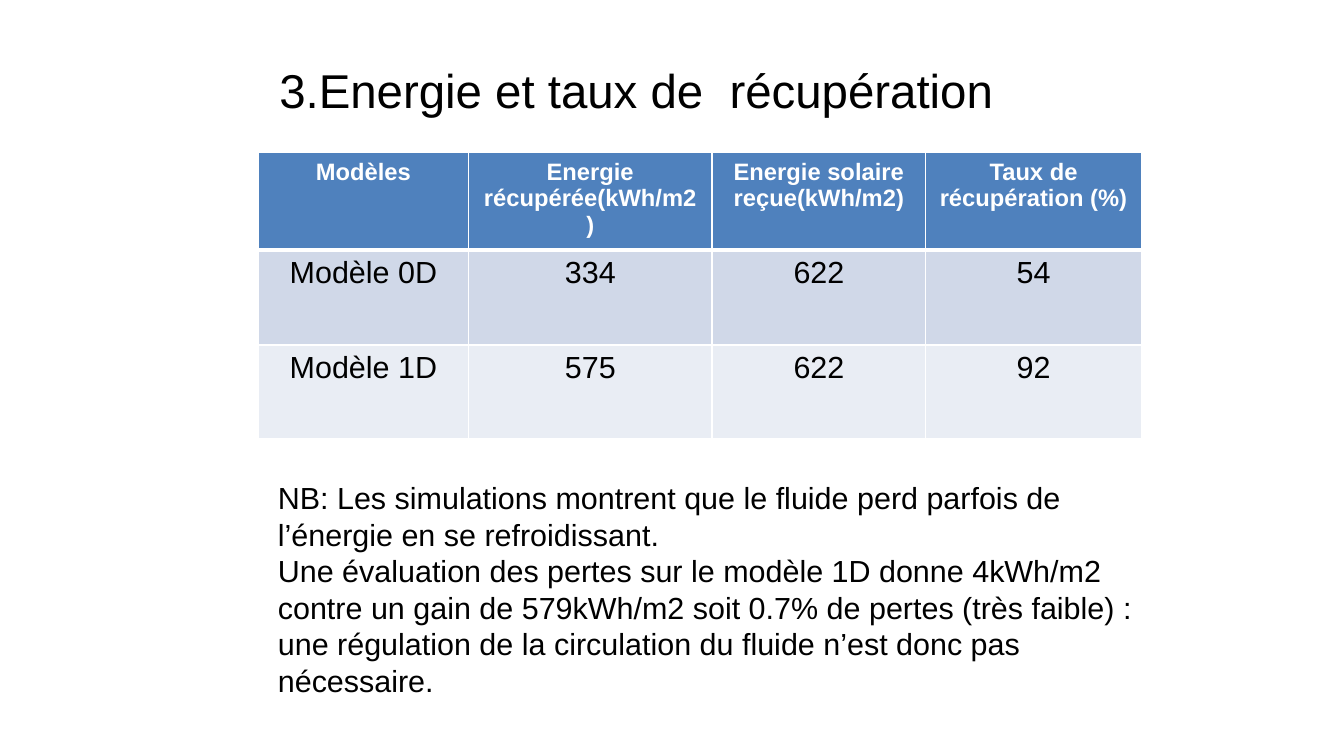
"""Build the slide on energy and recovery rate of the 0D and 1D models."""
from lxml.etree import SubElement
from pptx import Presentation
from pptx.dml.color import RGBColor
from pptx.enum.text import MSO_ANCHOR, MSO_AUTO_SIZE, PP_ALIGN
from pptx.oxml.ns import qn
from pptx.util import Inches, Pt


def color(hex_code):
    """Turn a hex string into a colour."""
    return RGBColor.from_string(hex_code)


def write(frame, text, size=18, ink="000000", bold=False, align=PP_ALIGN.LEFT, spacing=1.0):
    """Fill a text frame with one paragraph per line of text."""
    frame.word_wrap = True
    frame.text = text
    for paragraph in frame.paragraphs:
        paragraph.alignment = align
        paragraph.line_spacing = spacing
        for run in paragraph.runs:
            run.font.name = "Arial"
            run.font.size = Pt(size)
            run.font.bold = bold
            run.font.color.rgb = color(ink)


presentation = Presentation()
presentation.slide_width = Inches(11.02)
presentation.slide_height = Inches(6.2)
slide = presentation.slides.add_slide(presentation.slide_layouts[5])

title = slide.shapes.title
title.left, title.top = Inches(2.29), Inches(0.55)
title.width, title.height = Inches(8.18), Inches(0.42)
heading = title.text_frame
heading.margin_left = heading.margin_right = heading.margin_top = heading.margin_bottom = 0
heading.vertical_anchor = MSO_ANCHOR.MIDDLE
write(heading, "3.Energie et taux de  récupération", size=28, spacing=0.9)
heading.auto_size = MSO_AUTO_SIZE.SHAPE_TO_FIT_TEXT

results = [
    ["Modèles", "Energie récupérée(kWh/m2)", "Energie solaire reçue(kWh/m2)", "Taux de récupération (%)"],
    ["Modèle 0D", "334", "622", "54"],
    ["Modèle 1D", "575", "622", "92"],
]
row_fills = ["4F81BD", "D0D8E8", "E9EDF4"]
column_widths = [1.72, 2, 1.75, 1.77]
row_heights = [0.75, 0.78, 0.77]

comparison = slide.shapes.add_table(
    len(results), len(column_widths), Inches(2.12), Inches(1.25), Inches(7.24), Inches(2.3)
).table
for column, width in zip(comparison.columns, column_widths):
    column.width = Inches(width)

for row_index, (row, height) in enumerate(zip(comparison.rows, row_heights)):
    row.height = Inches(height)
    is_header = row_index == 0
    text_format = dict(size=14, ink="FFFFFF", bold=True) if is_header else {}
    edges = {
        "a:lnL": 1,
        "a:lnR": 1,
        "a:lnT": 3 if row_index == 1 else 1,
        "a:lnB": 3 if is_header else 1,
    }
    for cell, text in zip(row.cells, results[row_index]):
        write(cell.text_frame, text, align=PP_ALIGN.CENTER, **text_format)
        properties = cell._tc.get_or_add_tcPr()
        for edge, points in edges.items():
            line = SubElement(properties, qn(edge), w=str(Pt(points)))
            SubElement(SubElement(line, qn("a:solidFill")), qn("a:srgbClr"), val="FFFFFF")
        cell.fill.solid()
        cell.fill.fore_color.rgb = color(row_fills[row_index])

remark = slide.shapes.add_textbox(Inches(2.18), Inches(3.88), Inches(7.25), Inches(1.92))
write(
    remark.text_frame,
    "NB: Les simulations montrent que le fluide perd parfois de l’énergie en se refroidissant.\n"
    "Une évaluation des pertes sur le modèle 1D donne 4kWh/m2\n"
    "contre un gain de 579kWh/m2 soit 0.7% de pertes (très faible) : "
    "une régulation de la circulation du fluide n’est donc pas nécessaire.",
)
remark.text_frame.auto_size = MSO_AUTO_SIZE.SHAPE_TO_FIT_TEXT

presentation.save("out.pptx")
